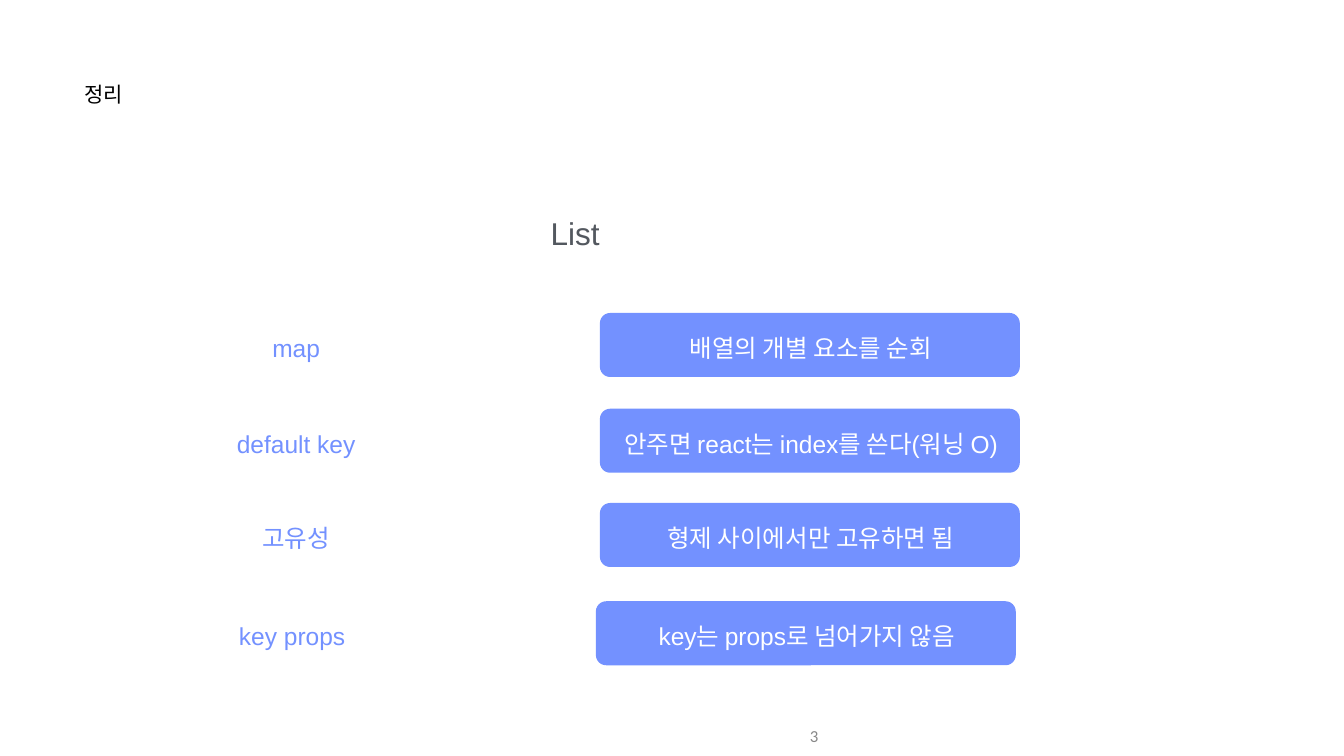
from pptx import Presentation
from pptx.dml.color import RGBColor
from pptx.enum.shapes import MSO_SHAPE as Shape
from pptx.enum.text import MSO_ANCHOR as Anchor, PP_ALIGN as Align
from pptx.util import Pt

EMU_PER_PX = 9144  # 100 px to the inch
BLUE, WHITE, BLACK, SLATE, GRAY = "7391FF", "FFFFFF", "000000", "53585F", "888888"

LABEL_WIDTH, CARD_WIDTH, CARD_HEIGHT = 625, 833, 127
CARD_OFFSET = 917  # from the left of a row to its card
TEXT_INSET, TEXT_DROP, TEXT_HEIGHT = 2, 38, 62

ROWS = [
    (273, 621, "map", "배열의 개별 요소를 순회"),
    (273, 811, "default key", "안주면 react는 index를 쓴다(워닝 O)"),
    (273, 998, "고유성", "형제 사이에서만 고유하면 됨"),
    (265, 1193, "key props", "key는 props로 넘어가지 않음"),
]


def px(*lengths):
    """Turn px lengths into EMU."""
    return [length * EMU_PER_PX for length in lengths]


def color(value):
    return RGBColor.from_string(value)


def add_text(slide, box, text, size, text_color, align=Align.CENTER,
             anchor=Anchor.MIDDLE, font="Arial", margins=(1, 1)):
    frame = slide.shapes.add_textbox(*px(*box)).text_frame
    frame.word_wrap = True
    frame.vertical_anchor = anchor
    side, edge = px(*margins)
    frame.margin_left = frame.margin_right = side
    frame.margin_top = frame.margin_bottom = edge
    paragraph = frame.paragraphs[0]
    paragraph.alignment = align
    run = paragraph.add_run()
    run.text = text
    run.font.name = font
    run.font.size = Pt(size)
    run.font.color.rgb = color(text_color)


def add_card(slide, box):
    shape = slide.shapes.add_shape(Shape.ROUNDED_RECTANGLE, *px(*box))
    shape.adjustments[0] = 0.16
    shape.shadow.inherit = False
    shape.fill.solid()
    shape.fill.fore_color.rgb = color(BLUE)
    shape.line.fill.background()


def add_summary_row(slide, left, top, label, description):
    """Place a term on the left and its explanation in a card on the right."""
    card_left = left + CARD_OFFSET
    add_card(slide, (card_left, top, CARD_WIDTH, CARD_HEIGHT))
    for text_left, width, text, text_color in (
        (left, LABEL_WIDTH, label, BLUE),
        (card_left, CARD_WIDTH, description, WHITE),
    ):
        box = (text_left + TEXT_INSET, top + TEXT_DROP, width, TEXT_HEIGHT)
        add_text(slide, box, text, 35, text_color)


def add_headings(slide):
    add_text(slide, (167, 160, 486, 118), "정리", 30, BLACK, Align.LEFT, Anchor.TOP)
    add_text(slide, (264, 424, 1754, 79), "List", 45, SLATE, anchor=Anchor.TOP)


def add_page_number(slide, box, number):
    add_text(slide, box, number, 24, GRAY, Align.RIGHT, font="Calibri", margins=(10, 5))


def main():
    presentation = Presentation()
    presentation.slide_width, presentation.slide_height = px(2666, 1500)
    slide = presentation.slides.add_slide(presentation.slide_layouts[6])
    add_headings(slide)
    for row in ROWS:
        add_summary_row(slide, *row)
    add_page_number(slide, (1033, 1421, 600, 79), "3")
    presentation.save("out.pptx")


if __name__ == "__main__":
    main()
